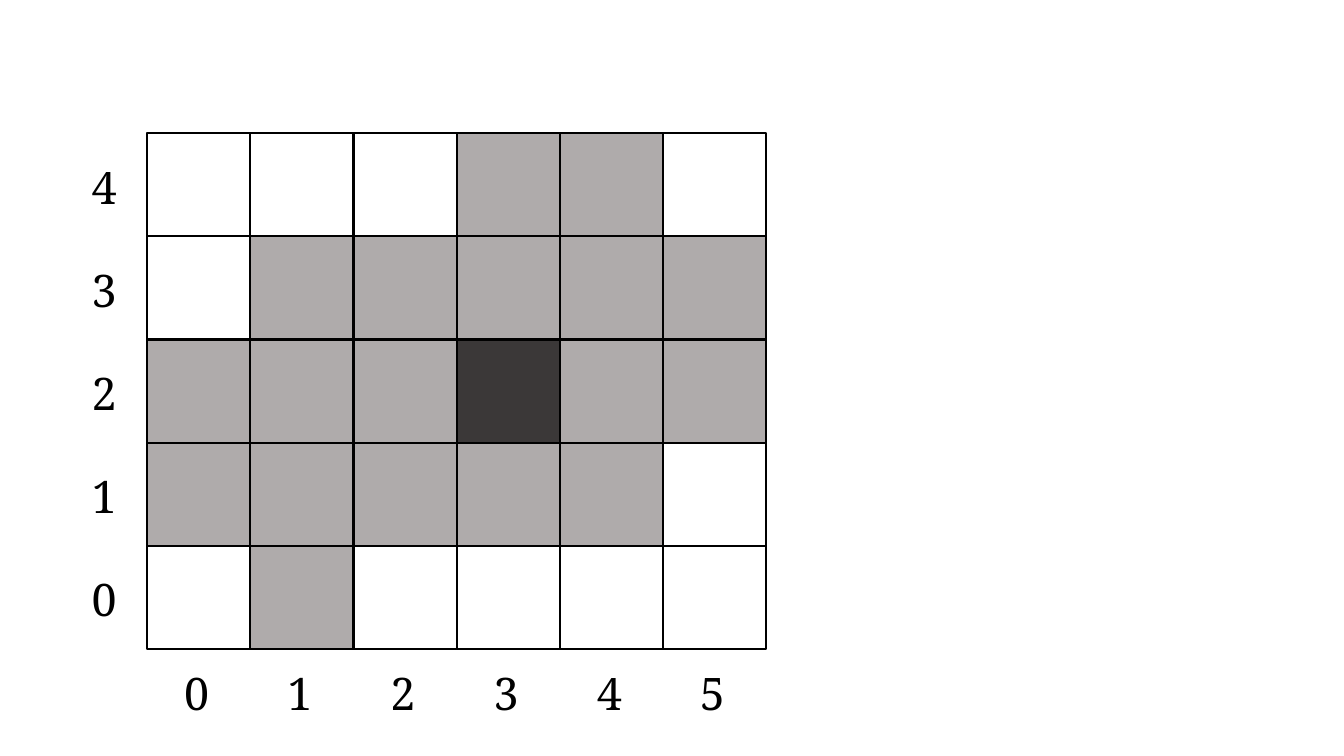
import pptx
import pptx.dml.color
import pptx.enum.shapes
import pptx.enum.text
import pptx.util

Pt = pptx.util.Pt

CELL = 73.7
LABEL_WIDTH, LABEL_HEIGHT = 22.2, 46.05
FILLS = {".": "FFFFFF", "o": "AFABAB", "X": "3B3838"}
GRID_ROWS = [
    "...oo.",
    ".ooooo",
    "oooXoo",
    "ooooo.",
    ".o....",
]


def color(hex_string):
    """Return the RGB colour for a hex string."""
    return pptx.dml.color.RGBColor.from_string(hex_string)


def add_text(slide, text, left, top, width, height, size=32, font="Noto Serif", fill="000000"):
    """Add a text box holding one formatted line."""
    shape = slide.shapes.add_textbox(Pt(left), Pt(top), Pt(width), Pt(height))
    frame = shape.text_frame
    frame.word_wrap = True
    frame.auto_size = pptx.enum.text.MSO_AUTO_SIZE.SHAPE_TO_FIT_TEXT
    run = frame.paragraphs[0].add_run()
    run.text = text
    run.font.size = Pt(size)
    run.font.name = font
    run.font.color.rgb = color(fill)


def add_cell(slide, left, top, fill):
    """Add one outlined square of the grid."""
    shape = slide.shapes.add_shape(
        pptx.enum.shapes.MSO_SHAPE.RECTANGLE, Pt(left), Pt(top), Pt(CELL), Pt(CELL))
    shape.shadow.inherit = False
    shape.fill.solid()
    shape.fill.fore_color.rgb = color(fill)
    shape.line.color.rgb = color("000000")
    shape.line.width = Pt(1.5)


def add_grid(slide, left, top):
    """Draw the shaded cells from the given corner."""
    for row, marks in enumerate(GRID_ROWS):
        for column, mark in enumerate(marks):
            add_cell(slide, left + column * CELL, top + row * CELL, FILLS[mark])


def add_axis_labels(slide, left, top):
    """Number the rows upward and the columns rightward around the grid."""
    row_count = len(GRID_ROWS)
    for row in range(row_count):
        add_text(slide, str(row_count - 1 - row), left - 46.8, top + row * CELL + 15,
                 LABEL_WIDTH, LABEL_HEIGHT)
    for column in range(len(GRID_ROWS[0])):
        add_text(slide, str(column), left + column * CELL + 19.3, top + row_count * CELL + 8.5,
                 LABEL_WIDTH, LABEL_HEIGHT)


def main():
    """Build the slide and save it."""
    presentation = pptx.Presentation()
    presentation.slide_width = Pt(960)
    presentation.slide_height = Pt(540)
    slide = presentation.slides.add_slide(presentation.slide_layouts.get_by_name("Blank"))
    add_grid(slide, 105.1, 95.2)
    add_axis_labels(slide, 105.1, 95.2)
    presentation.save("out.pptx")


if __name__ == "__main__":
    main()
